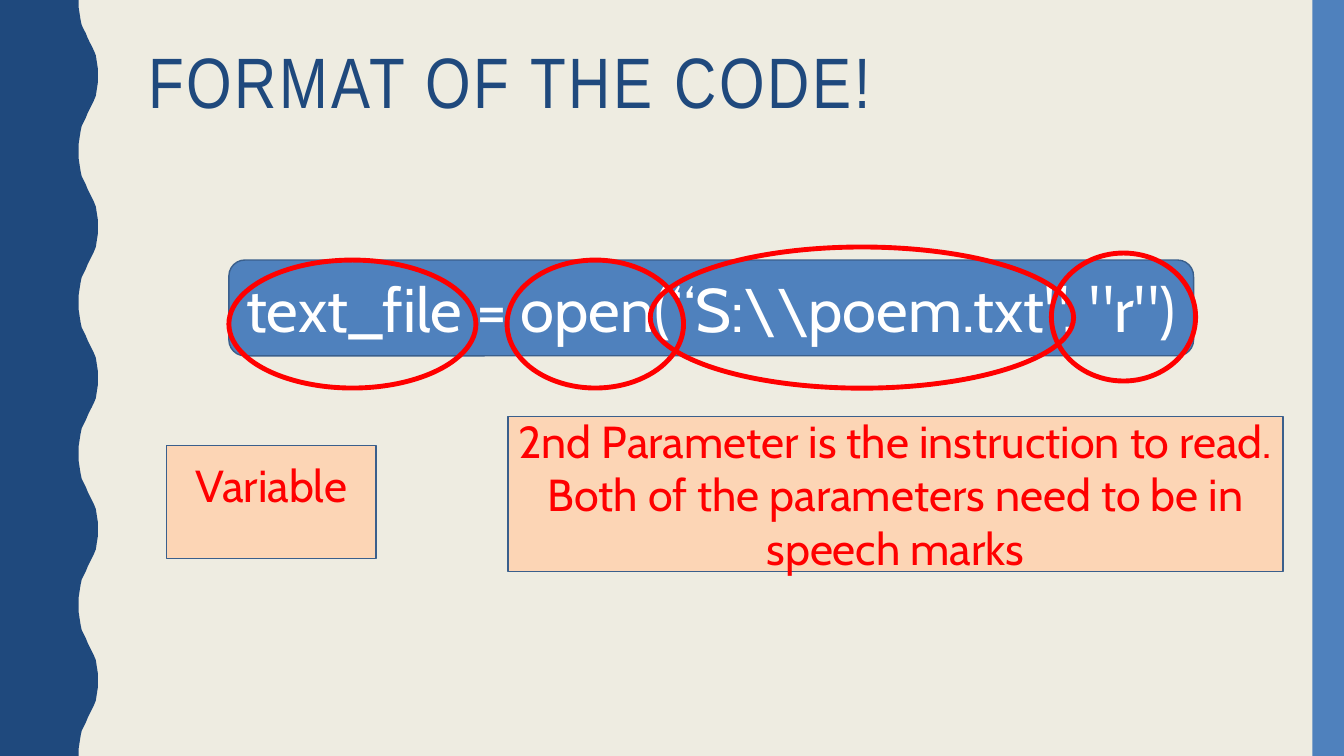
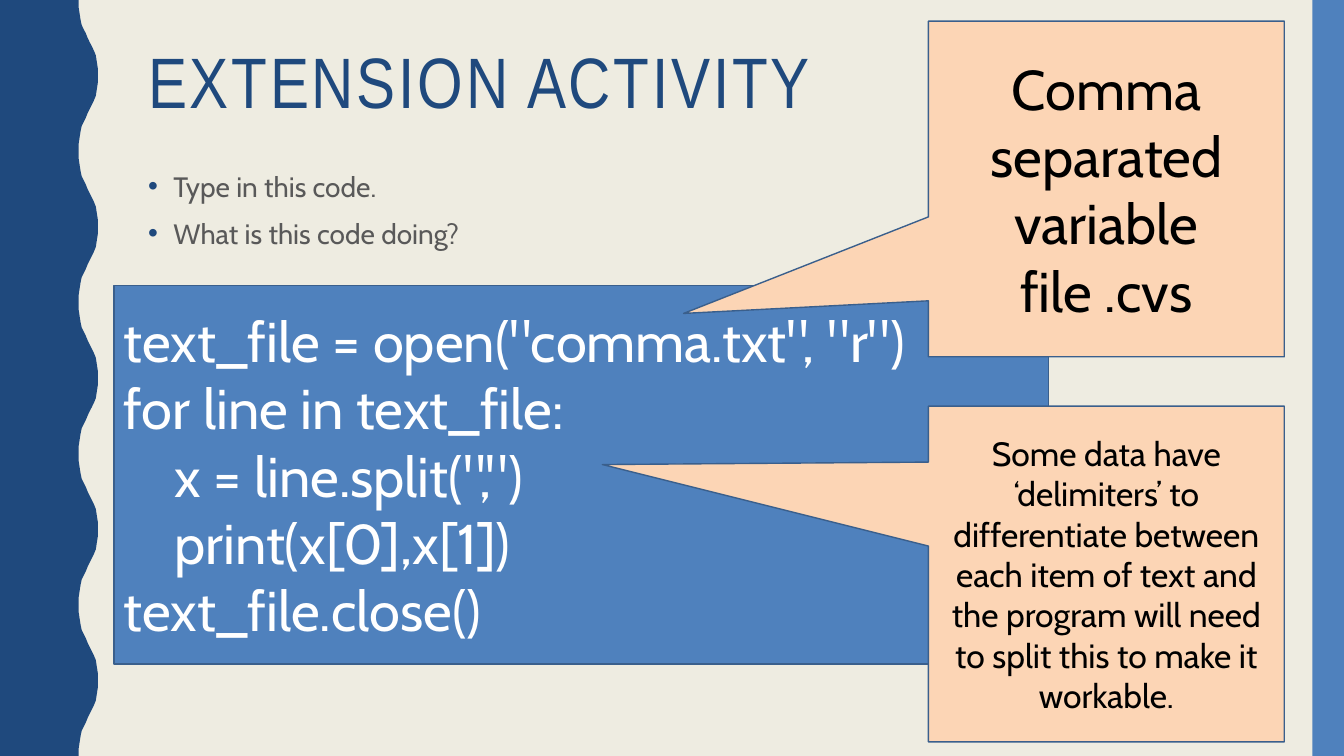
from pptx import Presentation
from pptx import util as u
from pptx.dml.color import RGBColor
from pptx.enum import shapes, text
from pptx.oxml import parse_xml
from pptx.oxml.ns import nsdecls

COLORS = {
    "cream": "EEECE1",
    "navy": "1F497D",
    "blue": "4F81BD",
    "outline": "3A5F8C",
    "peach": "FCD5B5",
    "red": "FF0000",
    "gray": "595959",
    "white": "FFFFFF",
    "black": "000000",
}
KINDS = shapes.MSO_SHAPE
LEFT, CENTER = text.PP_ALIGN.LEFT, text.PP_ALIGN.CENTER
TOP, MIDDLE = text.MSO_ANCHOR.TOP, text.MSO_ANCHOR.MIDDLE

deck = Presentation()
deck.slide_width, deck.slide_height = u.Inches(13.33), u.Inches(7.5)
COLUMN, ROW = deck.slide_width / 100, deck.slide_height / 100


def draw(page, kind, area, fill=None, line=None, width=1):
    left, top, wide, high = area
    place = [round(n) for n in (left * COLUMN, top * ROW, wide * COLUMN, high * ROW)]
    if kind is None:
        return page.shapes.add_textbox(*place)
    box = page.shapes.add_shape(kind, *place)
    box.shadow.inherit = False
    for part, color in ((box.fill, fill), (box.line.fill, line)):
        if color:
            part.solid()
            part.fore_color.rgb = RGBColor.from_string(COLORS[color])
        else:
            part.background()
    if line:
        box.line.width = u.Pt(width)
    return box


def write(box, words, size, color, align=CENTER, anchor=MIDDLE, font="Cabin"):
    frame = box.text_frame
    frame.text = words
    frame.word_wrap = True
    frame.vertical_anchor = anchor
    for para in frame.paragraphs:
        para.alignment = align
        for span in para.runs:
            span.font.size = u.Pt(size)
            span.font.name = font
            span.font.color.rgb = RGBColor.from_string(COLORS[color])
    return frame


backdrop = deck.slide_master.background.fill
backdrop.solid()
backdrop.fore_color.rgb = RGBColor.from_string(COLORS["cream"])

half_wave = [
    (5.85, 0), (5.85, 0.93), (5.93, 1.87), (6, 2.67), (6.08, 3.33),
    (6.23, 3.87), (6.38, 4.4), (6.53, 5.07), (6.68, 5.6), (6.83, 6.13),
    (6.98, 6.67), (7.13, 7.33), (7.2, 8.13), (7.28, 9.07), (7.28, 10),
]
wave = half_wave + [(x, 20 - y) for x, y in reversed(half_wave[:-1])]
edge = [(x, y + 20 * crest) for crest in range(5) for x, y in wave] + [(0, 100)]

pages = []
for title in ("FORMAT OF THE CODE!", "EXTENSION ACTIVITY"):
    page = deck.slides.add_slide(deck.slide_layouts[6])
    builder = page.shapes.build_freeform(0, 0)
    builder.add_line_segments([(round(x * COLUMN), round(y * ROW)) for x, y in edge])
    band = builder.convert_to_shape()
    band.shadow.inherit = False
    band.fill.solid()
    band.fill.fore_color.rgb = RGBColor.from_string(COLORS["navy"])
    band.line.fill.background()
    draw(page, KINDS.RECTANGLE, (97.65, 0, 2.35, 100), "blue")
    heading = draw(page, None, (10.28, 5.6, 83.48, 13.6))
    para = write(heading, title, 51, "navy", LEFT, TOP, "Arial Narrow").paragraphs[0]
    para.line_spacing = 0.9
    para.runs[0].font._element.set("spc", "200")
    pages.append(page)
format_page, activity_page = pages

code = draw(format_page, KINDS.ROUNDED_RECTANGLE, (17.03, 34.4, 71.78, 12.67), "blue", "outline")
write(code, 'text_file = open(“S:\\\\poem.txt", "r")', 44, "white").word_wrap = False

for ring in (
    (17.03, 34.4, 18.38, 16.93),
    (37.73, 34.4, 13.13, 16.93),
    (48.38, 32.67, 31.5, 18.67),
    (78.23, 33.47, 10.73, 16.93),
):
    draw(format_page, KINDS.OVAL, ring, line="red", width=3.5)

for area, words, bottom in (
    ((12.38, 58.93, 15.6, 14.93), "Variable", 4.6),
    (
        (37.8, 55.07, 57.68, 20.53),
        "2nd Parameter is the instruction to read. "
        "Both of the parameters need to be in speech marks",
        0,
    ),
):
    label = draw(format_page, KINDS.RECTANGLE, area, "peach", "outline")
    frame = write(label, words, 32, "red")
    frame.margin_top = 0
    frame.margin_bottom = round(bottom * ROW)

tasks = draw(activity_page, None, (10.28, 21.33, 83.48, 64.4))
for para in write(
    tasks, "Type in this code.\nWhat is this code doing?", 20, "gray", LEFT, TOP
).paragraphs:
    para.line_spacing = 1.1
    para.space_before = u.Pt(7)
    style = para._p.get_or_add_pPr()
    style.set("marL", str(u.Inches(0.25)))
    style.set("indent", str(-u.Inches(0.25)))
    style.append(parse_xml(
        f'<a:buClr {nsdecls("a")}><a:srgbClr val="{COLORS["navy"]}"/></a:buClr>'
    ))
    style.append(parse_xml(f'<a:buFont {nsdecls("a")} typeface="Arial"/>'))
    style.append(parse_xml(f'<a:buChar {nsdecls("a")} char="•"/>'))

program = draw(activity_page, KINDS.RECTANGLE, (8.48, 37.73, 69.53, 50.13), "blue", "outline")
lines = (
    'text_file = open("comma.txt", "r")',
    "for line in text_file:",
    'x = line.split(",")',
    "print(x[0],x[1])",
    "text_file.close()",
)
frame = write(program, "\n".join(lines), 40, "white", LEFT)
for para in frame.paragraphs[2:4]:
    para._p.get_or_add_pPr().set("marL", str(u.Inches(0.5)))

for top, pointer, size, words in (
    (
        53.73, (-1.416, -0.326), 24,
        "Some data have ‘delimiters’ to differentiate between each item of text "
        "and the program will need to split this to make it workable.",
    ),
    (2.8, (-1.188, 0.371), 40, "Comma separated variable file .cvs"),
):
    callout = draw(
        activity_page, KINDS.RECTANGULAR_CALLOUT, (69.08, top, 26.48, 44.4), "peach", "outline"
    )
    callout.adjustments[0], callout.adjustments[1] = pointer
    write(callout, words, size, "black")

deck.save("out.pptx")
